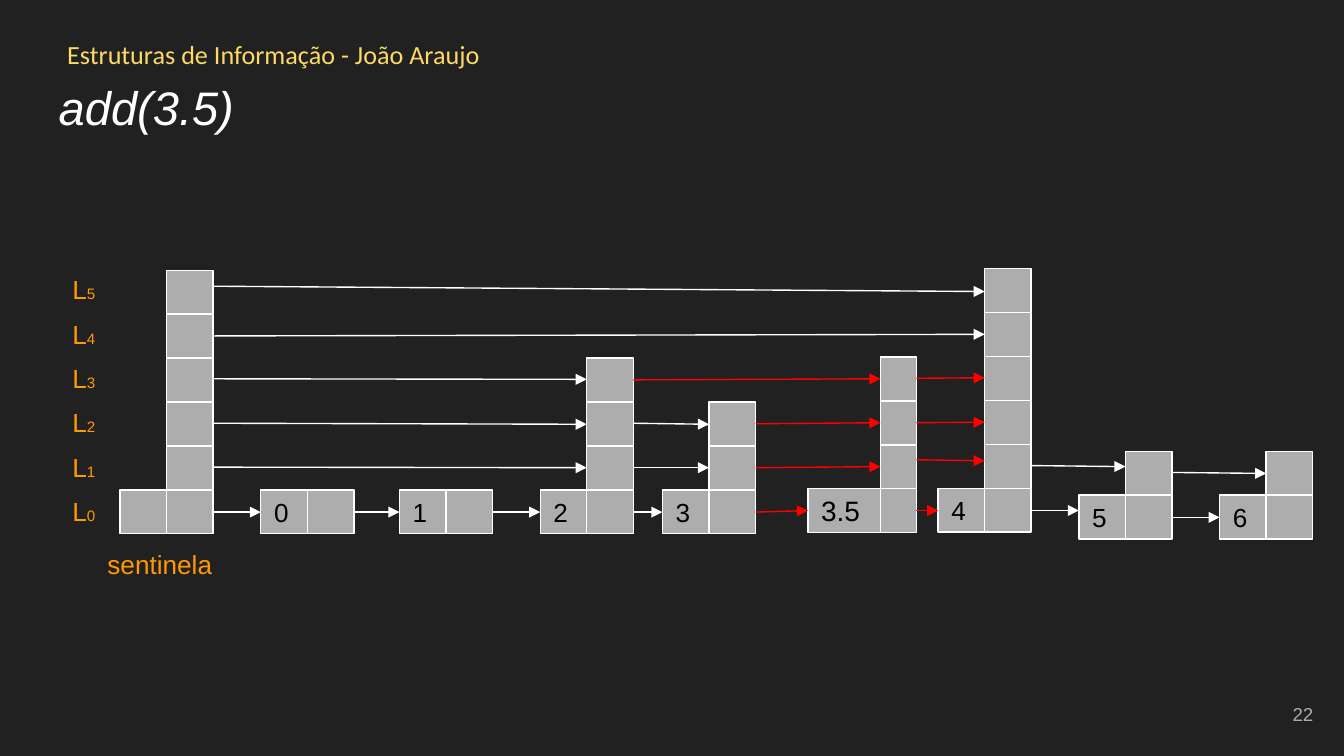
from lxml import etree
from pptx import Presentation
from pptx.dml.color import RGBColor
from pptx.enum.shapes import MSO_CONNECTOR, MSO_SHAPE
from pptx.enum.text import MSO_ANCHOR, MSO_AUTO_SIZE, PP_ALIGN
from pptx.oxml.ns import qn
from pptx.util import Cm, Pt

RECTANGLE = MSO_SHAPE.RECTANGLE
STRAIGHT = MSO_CONNECTOR.STRAIGHT
TOP, MIDDLE = MSO_ANCHOR.TOP, MSO_ANCHOR.MIDDLE
LEFT, RIGHT = PP_ALIGN.LEFT, PP_ALIGN.RIGHT
NO_AUTOFIT = MSO_AUTO_SIZE.NONE

COLORS = {
    "background": "212121",
    "header": "FFD966",
    "white": "FFFFFF",
    "cell": "ADADAD",
    "label": "FF9900",
    "key": "000000",
    "new": "FF0000",
}

CELL_WIDTH, CELL_HEIGHT = 0.88, 0.83
INSET = 0.25

# key: (left, top of the base row, levels, key width, link width)
NODES = {
    "": (0, 4.18, 6, CELL_WIDTH, CELL_WIDTH),
    "0": (2.66, 4.18, 1, CELL_WIDTH, CELL_WIDTH),
    "1": (5.28, 4.18, 1, CELL_WIDTH, CELL_WIDTH),
    "2": (7.94, 4.18, 4, CELL_WIDTH, CELL_WIDTH),
    "3": (10.25, 4.18, 3, CELL_WIDTH, CELL_WIDTH),
    "3.5": (13, 4.16, 4, 1.37, 0.68),
    "4": (15.46, 4.15, 6, CELL_WIDTH, CELL_WIDTH),
    "5": (18.12, 4.28, 2, CELL_WIDTH, CELL_WIDTH),
    "6": (20.78, 4.28, 2, CELL_WIDTH, CELL_WIDTH),
}

# (level, source key, target key, start height, end height)
LINKS = [
    (0, "", "0", 4.6, 4.6),
    (0, "0", "1", 4.6, 4.6),
    (0, "1", "2", 4.6, 4.6),
    (0, "2", "3", 4.6, 4.6),
    (0, "3", "3.5", 4.6, 4.57),
    (0, "3.5", "4", 4.57, 4.57),
    (0, "4", "5", 4.57, 4.57),
    (0, "5", "6", 4.7, 4.7),
    (1, "", "2", 3.75, 3.76),
    (1, "2", "3", 3.76, 3.76),
    (1, "3", "3.5", 3.76, 3.74),
    (1, "3.5", "4", 3.61, 3.63),
    (1, "4", "5", 3.72, 3.74),
    (1, "5", "6", 3.85, 3.87),
    (2, "", "2", 2.92, 2.94),
    (2, "2", "3", 2.92, 2.94),
    (2, "3", "3.5", 2.93, 2.91),
    (2, "3.5", "4", 2.91, 2.9),
    (3, "", "2", 2.08, 2.09),
    (3, "2", "3.5", 2.1, 2.08),
    (3, "3.5", "4", 2.07, 2.06),
    (4, "", "4", 1.27, 1.24),
    (5, "", "4", 0.33, 0.43),
]


def color(name):
    """Return the named colour."""
    return RGBColor.from_string(COLORS[name])


def write(frame, pieces, size, color_name, font="Arial", align=LEFT,
          anchor=TOP, italic=None):
    """Fill a text frame with runs given as (text, baseline) pairs."""
    frame.word_wrap = True
    frame.auto_size = NO_AUTOFIT
    frame.vertical_anchor = anchor
    frame.margin_left = frame.margin_right = Cm(INSET)
    frame.margin_top = frame.margin_bottom = Cm(INSET)
    paragraph = frame.paragraphs[0]
    paragraph.alignment = align
    for text, baseline in pieces:
        run = paragraph.add_run()
        run.text = text
        run.font.name = font
        run.font.size = Pt(size)
        run.font.italic = italic
        run.font.color.rgb = color(color_name)
        if baseline:
            run._r.get_or_add_rPr().set("baseline", str(baseline))


def add_label(slide, box, pieces, size, color_name, **style):
    """Place a text box in the given box."""
    label = slide.shapes.add_textbox(*map(Cm, box))
    write(label.text_frame, pieces, size, color_name, **style)


def add_title(slide, box, text):
    """Move the title placeholder to the box and write it."""
    title = slide.shapes.title
    title.left, title.top, title.width, title.height = map(Cm, box)
    write(title.text_frame, [(text, 0)], 25.2, "white", italic=True)


def add_cell(slide, box, key=""):
    """Draw one cell, with its key if it has one."""
    cell = slide.shapes.add_shape(RECTANGLE, *map(Cm, box))
    cell.shadow.inherit = False
    cell.fill.solid()
    cell.fill.fore_color.rgb = color("cell")
    cell.line.color.rgb = color("white")
    cell.line.width = Pt(0.75)
    if key:
        size = 15 if key == "3.5" else 14
        write(cell.text_frame, [(key, 0)], size, "key", anchor=MIDDLE)


def add_arrow(slide, start, end, color_name):
    """Draw an arrow between two points."""
    arrow = slide.shapes.add_connector(STRAIGHT, *map(Cm, start + end))
    arrow.line.color.rgb = color(color_name)
    arrow.line.width = Pt(0.75)
    line = arrow.line._get_or_add_ln()
    etree.SubElement(line, qn("a:tailEnd"), type="triangle")
    etree.SubElement(arrow._element.spPr, qn("a:effectLst"))


def add_skip_list(slide, box):
    """Draw the nodes and their links from the box's top left corner."""
    left, top = box[:2]
    for key, (x, y, levels, key_width, link_width) in NODES.items():
        add_cell(slide, (left + x, top + y, key_width, CELL_HEIGHT), key)
        for level in range(levels):
            add_cell(slide, (left + x + key_width, top + y - level * CELL_HEIGHT,
                             link_width, CELL_HEIGHT))
    for level, source, target, start_y, end_y in LINKS:
        source_x, _, _, key_width, link_width = NODES[source]
        target_x, _, _, target_key_width, _ = NODES[target]
        start = (left + source_x + key_width + link_width, top + start_y)
        end_x = left + target_x + (target_key_width if level else 0)
        is_new = "3.5" in (source, target)
        add_arrow(slide, start, (end_x, top + end_y), "new" if is_new else "white")


def add_level_labels(slide, box, levels=6, pitch=0.84):
    """Stack the level names upwards from the bottom of the box."""
    left, top, width, height = box
    label_height = height - (levels - 1) * pitch
    for level in range(levels):
        label_top = top + (levels - 1 - level) * pitch
        add_label(slide, (left, label_top, width, label_height),
                  [("L", 0), (str(level), -25)], 14, "label")


def main():
    """Build and save the slide."""
    deck = Presentation()
    deck.slide_width, deck.slide_height = Cm(25.4), Cm(14.29)
    slide = deck.slides.add_slide(deck.slide_layouts[5])
    slide.background.fill.solid()
    slide.background.fill.fore_color.rgb = color("background")
    add_label(slide, (1.02, 0.48, 20.75, 1.12),
              [("Estruturas de Informação - João Araujo", 0)], 14, "header",
              font="Calibri")
    add_title(slide, (0.86, 1.24, 23.67, 1.6), "add(3.5)")
    add_skip_list(slide, (2.27, 5.08, 22.54, 5.11))
    add_level_labels(slide, (1.12, 4.92, 1.12, 5.32))
    add_label(slide, (1.78, 10.11, 2.79, 1.12), [("sentinela", 0)], 14, "label")
    add_label(slide, (23.55, 12.95, 1.52, 1.09), [("22", 0)], 10, "cell",
              align=RIGHT, anchor=MIDDLE)
    deck.save("out.pptx")


if __name__ == "__main__":
    main()
